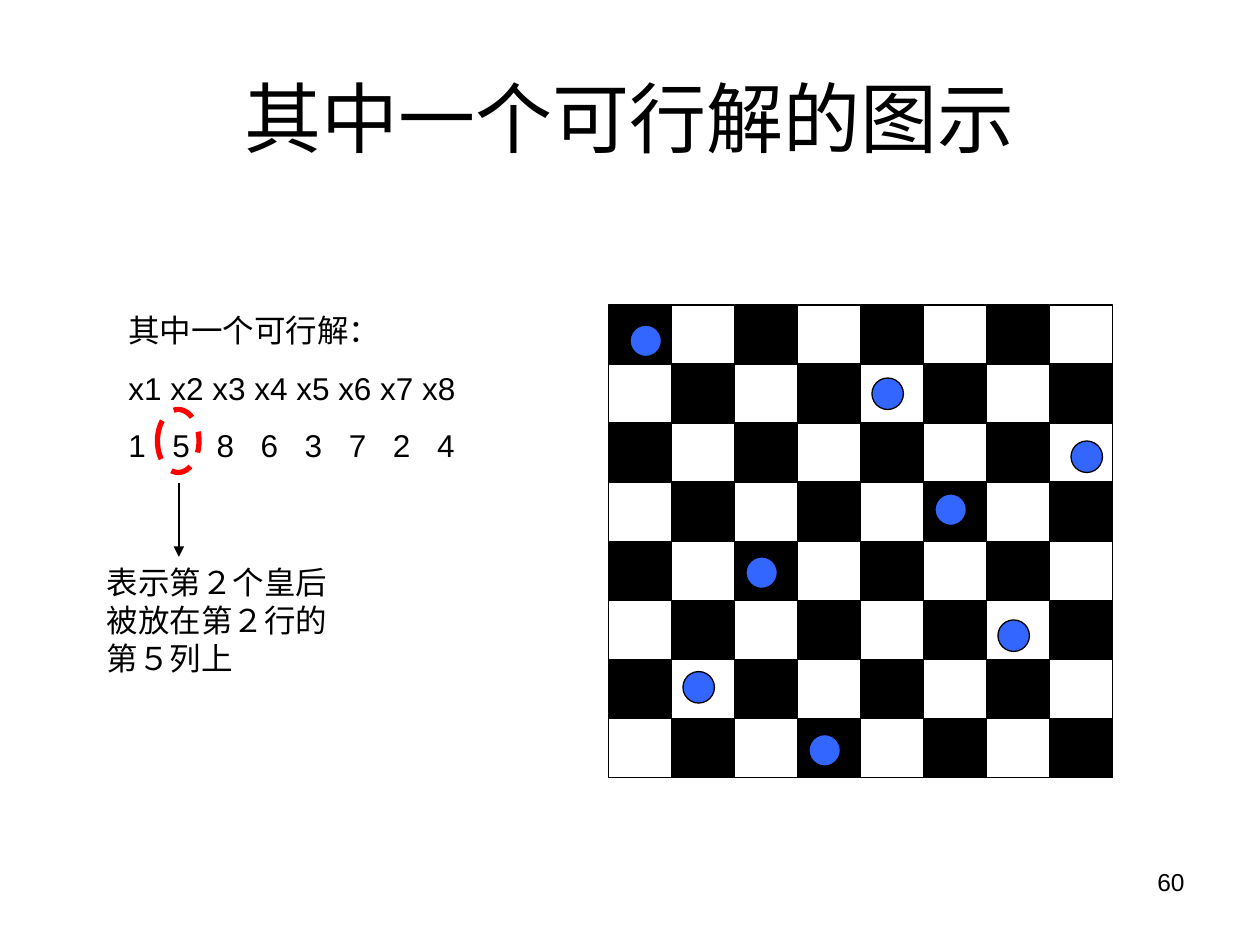
from lxml import etree
from pptx import Presentation
from pptx.dml.color import RGBColor
from pptx.enum.dml import MSO_LINE
from pptx.enum.shapes import MSO_CONNECTOR, MSO_SHAPE
from pptx.enum.text import MSO_ANCHOR, PP_ALIGN
from pptx.oxml.ns import qn
from pptx.util import Inches, Pt

RECTANGLE, OVAL = MSO_SHAPE.RECTANGLE, MSO_SHAPE.OVAL
STRAIGHT = MSO_CONNECTOR.STRAIGHT
DASH = MSO_LINE.DASH
LEFT, CENTER, RIGHT = PP_ALIGN.LEFT, PP_ALIGN.CENTER, PP_ALIGN.RIGHT
TOP, MIDDLE = MSO_ANCHOR.TOP, MSO_ANCHOR.MIDDLE

BLACK, WHITE, BLUE, RED = "000000", "FFFFFF", "3366FF", "FF0000"
BOARD_SIZE = 8
QUEEN_SIZE = 0.25
# Left and top of each queen, measured from the corner of the board
QUEENS = [(0.17, 0.16), (2.09, 0.58), (3.67, 1.08), (2.59, 1.5),
          (1.09, 2), (3.09, 2.5), (0.59, 2.91), (1.59, 3.41)]
SOLUTION = [1, 5, 8, 6, 3, 7, 2, 4]
VALUE_STEP = 0.35


def color(value):
    return RGBColor.from_string(value)


def add_text(page, box, lines, size=18, align=LEFT, anchor=TOP):
    frame = page.shapes.add_textbox(*map(Inches, box)).text_frame
    frame.word_wrap = True
    frame.vertical_anchor = anchor
    for index, line in enumerate(lines):
        para = frame.paragraphs[0] if index == 0 else frame.add_paragraph()
        para.alignment = align
        if index:
            para.space_before = Pt(11.2)
        span = para.add_run()
        span.text = line
        span.font.color.rgb = color(BLACK)
        for name, value in {"name": "Arial", "size": Pt(size)}.items():
            setattr(span.font, name, value)
    return frame


def add_figure(page, kind, box, fill=None, line=BLACK, width=0.75):
    figure = page.shapes.add_shape(kind, *map(Inches, box))
    figure.shadow.inherit = False
    if fill:
        figure.fill.solid()
        figure.fill.fore_color.rgb = color(fill)
    else:
        figure.fill.background()
    figure.line.color.rgb = color(line)
    figure.line.width = Pt(width)
    return figure


def add_arrow(page, start, end):
    arrow = page.shapes.add_connector(STRAIGHT, *map(Inches, start + end))
    arrow.line.color.rgb = color(BLACK)
    arrow.line.width = Pt(0.75)
    outline = arrow.line._get_or_add_ln()
    etree.SubElement(outline, qn("a:tailEnd"), type="triangle")
    etree.SubElement(arrow._element.spPr, qn("a:effectLst"))


def add_board(page, box):
    left, top, width, height = box
    cell_width, cell_height = width / BOARD_SIZE, height / BOARD_SIZE
    # Squares
    for row in range(BOARD_SIZE):
        for column in range(BOARD_SIZE):
            cell = (left + column * cell_width, top + row * cell_height,
                    cell_width, cell_height)
            add_figure(page, RECTANGLE, cell,
                       WHITE if (row + column) % 2 else BLACK)
    # Queens
    for across, down in QUEENS:
        add_figure(page, OVAL,
                   (left + across, top + down, QUEEN_SIZE, QUEEN_SIZE), BLUE)


def add_solution(page, box):
    variables = " ".join(f"x{number}" for number in range(1, BOARD_SIZE + 1))
    values = "\t".join(map(str, SOLUTION))
    frame = add_text(page, box, ["其中一个可行解：", variables, values])
    # Tab stops that space the values evenly
    properties = frame.paragraphs[-1]._p.get_or_add_pPr()
    stops = etree.SubElement(properties, qn("a:tabLst"))
    for number in range(1, BOARD_SIZE):
        etree.SubElement(stops, qn("a:tab"), algn="l",
                         pos=str(Inches(number * VALUE_STEP)))


def add_explanation(page, box):
    left, top, width, height = box
    center = left + 0.67
    ring = add_figure(page, OVAL, (center - 0.17, top, 0.33, 0.5),
                      line=RED, width=3)
    ring.line.dash_style = DASH
    add_arrow(page, (center, top + 0.58), (center, top + 1.17))
    add_text(page, (left, top + 1.17, width, height - 1.17),
             ["表示第２个皇后被放在第２行的第５列上"])


def main():
    deck = Presentation()
    deck.slide_width, deck.slide_height = Inches(10), Inches(7.5)
    page = deck.slides.add_slide(deck.slide_layouts[6])
    # Title and page number
    add_text(page, (0.5, 0.3, 9, 1.25), ["其中一个可行解的图示"],
             size=44, align=CENTER, anchor=MIDDLE)
    add_text(page, (7.17, 6.83, 2.33, 0.52), ["60"], size=14, align=RIGHT)
    # Chessboard and the solution it shows
    add_board(page, (4.83, 2.42, 4, 3.75))
    add_solution(page, (0.92, 2.42, 2.92, 1.32))
    add_explanation(page, (0.75, 3.25, 2.08, 2.17))
    deck.save("out.pptx")


if __name__ == "__main__":
    main()
